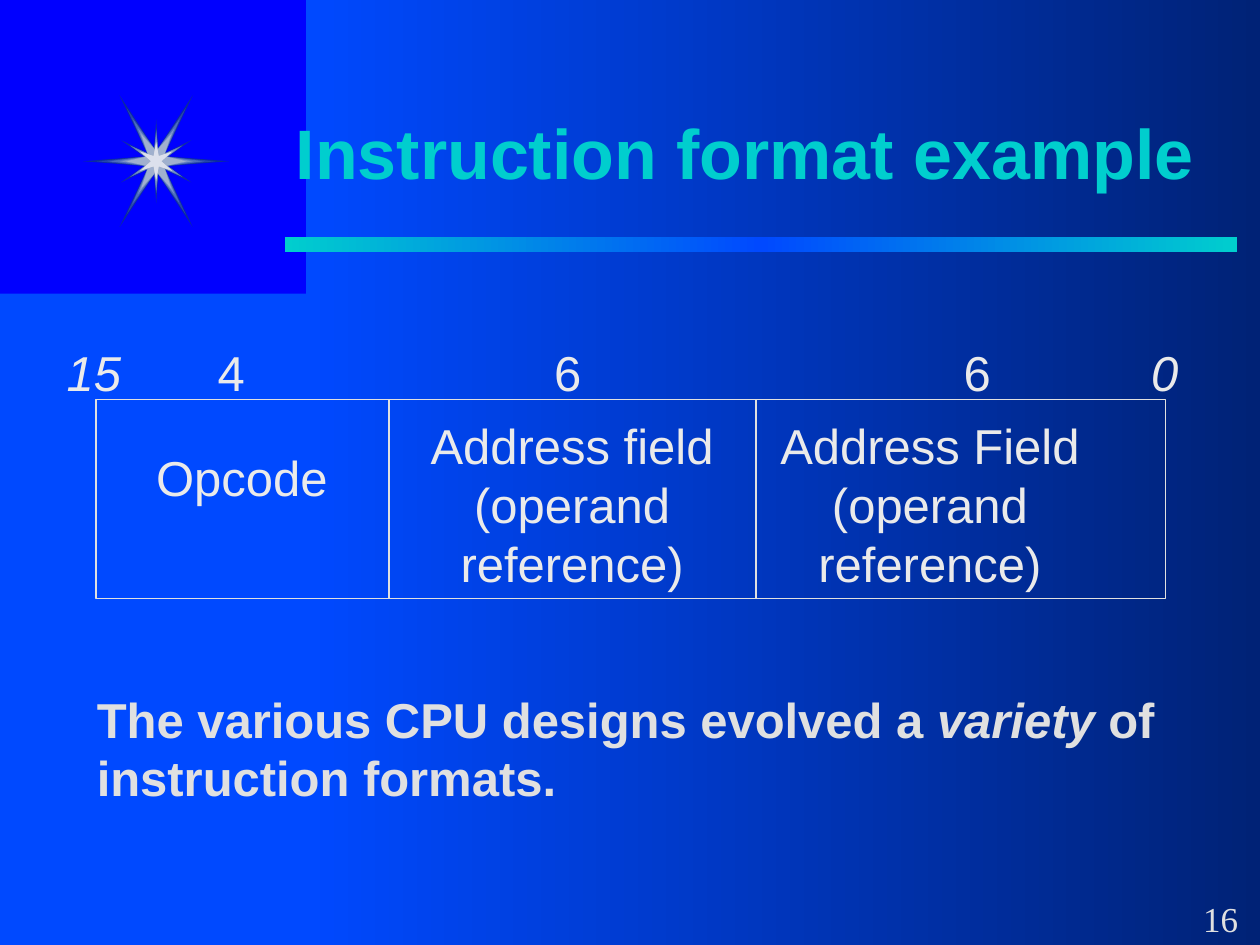
import pptx
import pptx.util
import pptx.dml.color
import pptx.enum.shapes
import pptx.enum.text
import pptx.oxml
import pptx.oxml.ns
import lxml.etree

Inches = pptx.util.Inches
RGB = pptx.dml.color.RGBColor
ALIGN = pptx.enum.text.PP_ALIGN
BLUE = RGB(0x00, 0x00, 0xFF)
SKY = RGB(0x00, 0x49, 0xFF)
NAVY = RGB(0x00, 0x22, 0x76)
TEAL = RGB(0x00, 0xCE, 0xCE)
GREY = RGB(0xE0, 0xE0, 0xE0)
PALE = RGB(0xEA, 0xEA, 0xEA)

TITLE = "Instruction format example"
NOTE = [("The various CPU designs evolved a ", False), ("variety", True),
        (" of instruction formats.", False)]
PAGE = "16"
FRAME = (0.76, 3.17, 8.49, 1.58)
SPLITS = [3.09, 6]
BITS = [("15", 0.33, True), ("4", 1.42, False), ("6", 4.09, False),
        ("6", 7.34, False), ("0", 8.83, True)]
FIELDS = [("Opcode", 0.92, 3.5, 2, 0.57),
          ("Address field (operand reference)", 3.25, 3.25, 2.58, 1.5),
          ("Address Field (operand reference)", 6.09, 3.25, 2.58, 1.5)]
HUB = (1.24, 1.28)
STARS = [("wide", 0.58, "0B2B9E"), ("tall", 0.28, "102FA1"),
         ("wide", 0.47, "2645AC"), ("tall", 0.21, "4464B9"),
         ("wide", 0.38, "4464B9"), ("tall", 0.2, "4E6EBC"),
         ("wide", 0.36, "4E6EBC"), ("tall", 0.19, "5A79C0"),
         ("tall", 0.17, "7992C6"), ("wide", 0.29, "7992C6"),
         ("wide", 0.24, "A0B0CE"), ("tall", 0.13, "D9D9D9"),
         ("tall", 0.12, "DCE0ED")]

deck = pptx.Presentation()
deck.slide_width, deck.slide_height = Inches(10), Inches(7.5)
slide = deck.slides.add_slide(deck.slide_layouts[6])
slide.background.fill.solid()
slide.background.fill.fore_color.rgb = BLUE
shapes = slide.shapes


def add_sub(parent, tag, **attrs):
    return lxml.etree.SubElement(parent, pptx.oxml.ns.qn(tag), attrs)


def add_rect(box, *tones):
    rect = shapes.add_shape(pptx.enum.shapes.MSO_SHAPE.RECTANGLE, *map(Inches, box))
    rect.shadow.inherit = False
    rect.line.fill.background()
    if not tones:
        rect.fill.background()
    elif len(tones) == 1:
        rect.fill.solid()
        rect.fill.fore_color.rgb = tones[0]
    else:
        rect.fill.gradient()
        rect.fill.gradient_angle = 0
        stops = rect.fill._fill._gradFill.find(pptx.oxml.ns.qn("a:gsLst"))
        for stop in list(stops):
            stops.remove(stop)
        for i, tone in enumerate(tones):
            stop = add_sub(stops, "a:gs", pos=str(100000 * i // (len(tones) - 1)))
            add_sub(stop, "a:srgbClr", val=str(tone))
    return rect


def add_star(kind, w, tone):
    if kind == "wide":
        h = 0.9 * w
        top = [(-0.06, -0.04), (-w / 2, -h), (0, -0.08), (w / 2, -h), (0.06, -0.04), (w, 0)]
    else:
        h = 1.2 * w
        top = [(-w, -h / 2), (-0.02, -0.04), (0, -h), (0.02, -0.04), (w, -h / 2), (0.04, 0)]
    dots = top + [(-x, -y) for x, y in top]
    spots = [(Inches(HUB[0] + x), Inches(HUB[1] + y)) for x, y in dots]
    form = shapes.build_freeform(*spots[0])
    form.add_line_segments(spots[1:], close=True)
    star = form.convert_to_shape()
    star.shadow.inherit = False
    star.line.fill.background()
    star.fill.solid()
    star.fill.fore_color.rgb = RGB.from_string(tone)


def add_text(box, runs, size=28, tone=PALE, face="Arial", bold=False, align=ALIGN.CENTER):
    frame = shapes.add_textbox(*map(Inches, box)).text_frame
    frame.word_wrap = True
    para = frame.paragraphs[0]
    para.alignment = align
    font = para.font
    font.name, font.size, font.bold = face, pptx.util.Pt(size), bold
    font.color.rgb = tone
    for words, slant in runs:
        run = para.add_run()
        run.text = words
        if slant:
            run.font.italic = True
    return frame


add_rect((0, 2.33, 2.43, 5.17), SKY)
add_rect((2.43, 0, 7.57, 7.5), SKY, NAVY)
add_rect((2.26, 1.88, 7.56, 0.12), TEAL, SKY, TEAL)
for star in STARS:
    add_star(*star)
add_text((9.45, 7.07, 0.55, 0.44), [(PAGE, False)], 20, GREY,
         "Times New Roman", align=ALIGN.LEFT)

grid = add_rect(FRAME)
grid.line.color.rgb = GREY
grid.line.width = pptx.util.Pt(1)
for x in SPLITS:
    rule = shapes.add_connector(pptx.enum.shapes.MSO_CONNECTOR.STRAIGHT, Inches(x),
                                Inches(FRAME[1]), Inches(x), Inches(FRAME[1] + FRAME[3]))
    rule.line.color.rgb = GREY
    rule.line.width = pptx.util.Pt(1)
    add_sub(rule._element.spPr, "a:effectLst")

for bit, x, slant in BITS:
    add_text((x, 2.67, 0.83, 0.57), [(bit, slant)])
for words, *box in FIELDS:
    add_text(box, [(words, False)])

head = add_text((2.25, 0.58, 7.58, 1.25), [(TITLE, False)], 40, TEAL,
                bold=True, align=ALIGN.LEFT)
head.vertical_anchor = pptx.enum.text.MSO_ANCHOR.MIDDLE
glow = add_sub(head.paragraphs[0].runs[0]._r.get_or_add_rPr(), "a:effectLst")
shade = add_sub(glow, "a:outerShdw", dist="38100", dir="2700000")
add_sub(shade, "a:srgbClr", val="000000")
add_text((0.67, 5.42, 9.06, 1.67), NOTE, tone=GREY, bold=True, align=ALIGN.LEFT)

deck.save("out.pptx")
